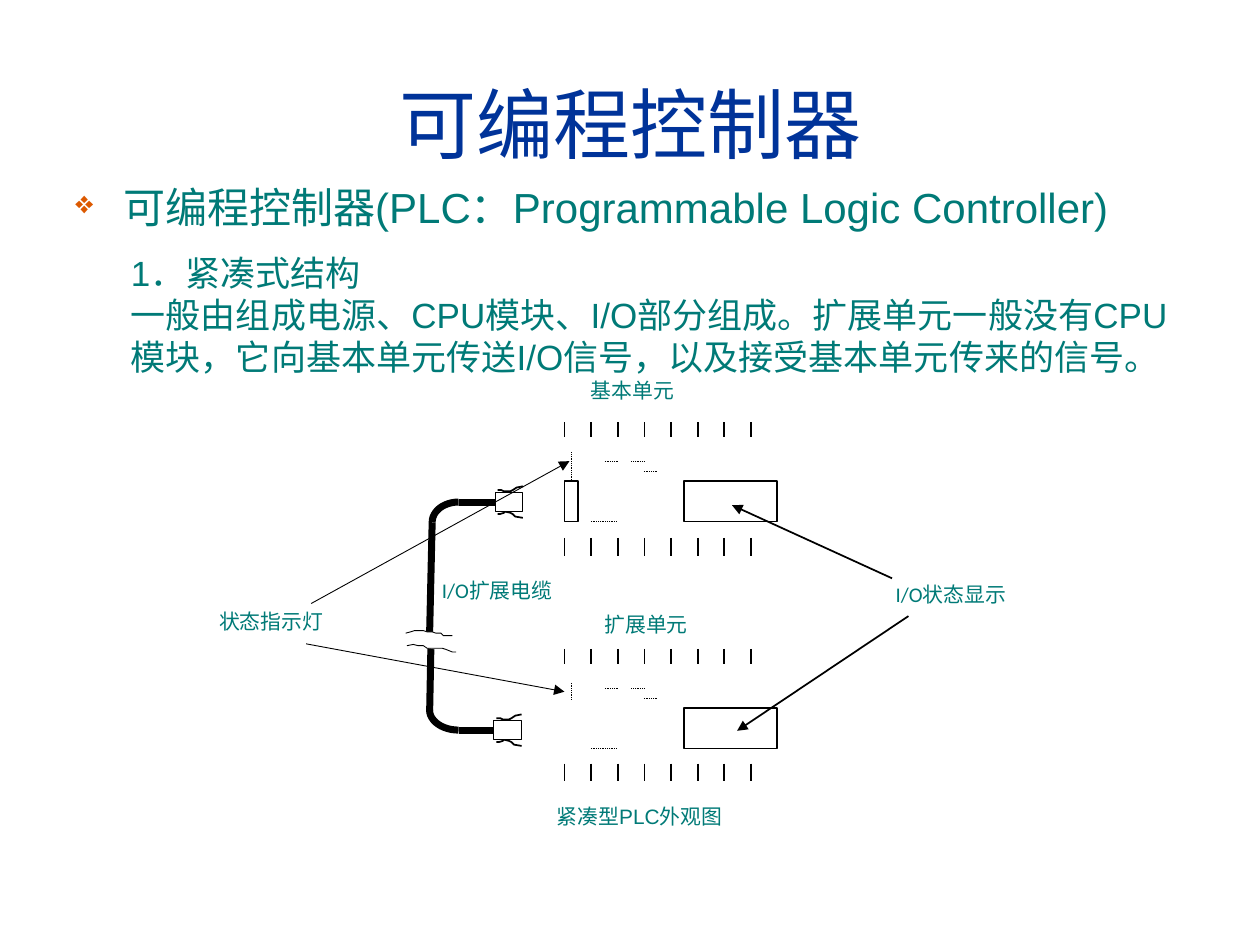
from collections import namedtuple
from dataclasses import dataclass
from math import cos, pi, sin

from lxml.etree import SubElement
from pptx import Presentation
from pptx.dml.color import RGBColor
from pptx.enum.dml import MSO_LINE
from pptx.enum.shapes import MSO_CONNECTOR, MSO_SHAPE
from pptx.enum.text import MSO_ANCHOR, PP_ALIGN
from pptx.oxml.ns import qn
from pptx.util import Inches, Pt

COLUMNS, ROWS = 100, 75
CELL = Inches(0.1)
TOP_SIDE, LEFT_SIDE = 0, 1
Box = namedtuple("Box", "left top width height")


@dataclass(frozen=True)
class Theme:
    title: str = "003399"
    text: str = "007A77"
    bullet: str = "DC5900"
    ink: str = "000000"
    paper: str = "FFFFFF"
    font: str = "Arial"
    label_font: str = "Calibri"
    title_size: float = 44
    lead_size: float = 24
    body_size: float = 20
    label_size: float = 11.9
    thin: float = 0.5
    medium: float = 1
    cable: float = 4


THEME = Theme()


def grid(value):
    return round(value * CELL)


def add_text(page, box, text, *, size, color=THEME.text, font=THEME.font,
             align=PP_ALIGN.LEFT, anchor=MSO_ANCHOR.TOP, spacing=None, bullet=None):
    frame = page.shapes.add_textbox(*map(grid, box)).text_frame
    frame.word_wrap = True
    frame.vertical_anchor = anchor
    for index, line in enumerate(text.split("\n")):
        para = frame.add_paragraph() if index else frame.paragraphs[0]
        para.alignment = align
        if spacing:
            para.line_spacing = spacing
        if bullet:
            add_bullet(para, bullet)
        span = para.add_run()
        span.text = line
        span.font.name = font
        span.font.size = Pt(size)
        span.font.color.rgb = RGBColor.from_string(color)


def add_bullet(para, character, indent=3.8):
    properties = para._p.get_or_add_pPr()
    properties.set("marL", str(grid(indent)))
    properties.set("indent", str(-grid(indent)))
    color = SubElement(properties, qn("a:buClr"))
    SubElement(color, qn("a:srgbClr"), val=THEME.bullet)
    SubElement(properties, qn("a:buSzPct"), val="75000")
    SubElement(properties, qn("a:buChar"), char=character)


def ink_line(shape, weight):
    shape.line.color.rgb = RGBColor.from_string(THEME.ink)
    shape.line.width = Pt(weight)


def paint(shape, weight):
    shape.shadow.inherit = False
    shape.fill.solid()
    shape.fill.fore_color.rgb = RGBColor.from_string(THEME.paper)
    ink_line(shape, weight)
    return shape


def add_rectangle(page, box, weight=THEME.medium):
    return paint(page.shapes.add_shape(MSO_SHAPE.RECTANGLE, *map(grid, box)), weight)


def add_curve(page, left, top, points, weight):
    """Draw an open outline whose points are offsets from left and top."""
    points = [(grid(left + x), grid(top + y)) for x, y in points]
    builder = page.shapes.build_freeform(*points[0])
    builder.add_line_segments(points[1:], close=False)
    paint(builder.convert_to_shape(), weight)


def add_line(page, start, end, weight=THEME.medium, dotted=False, arrow=False):
    line = page.shapes.add_connector(MSO_CONNECTOR.STRAIGHT, *map(grid, (*start, *end)))
    ink_line(line, weight)
    if dotted:
        line.line.dash_style = MSO_LINE.ROUND_DOT
    if arrow:
        SubElement(line.line._get_or_add_ln(), qn("a:tailEnd"), type="triangle")
    SubElement(line._element.spPr, qn("a:effectLst"))
    return line


def add_terminals(page, box, count=8):
    pitch = box.width / (count - 1)
    for index in range(count):
        x = box.left + index * pitch
        add_line(page, (x, box.top), (x, box.top + box.height))


def add_unit(page, box, lamp_span, has_port=False):
    """Draw one PLC unit: terminals, display window, dotted marks and status lamp."""
    left, top, width, height = box
    add_terminals(page, Box(left, top, width, 1.2))
    add_terminals(page, Box(left, top + height - 1.4, width, 1.4))
    add_rectangle(page, Box(left + 9.5, top + 4.7, 7.4, 3.2))
    for x, y, length in ((2.1, 7.9, 2.1), (3.2, 3.15, 1), (5.3, 3.15, 1), (6.3, 3.9, 1.1)):
        add_line(page, (left + x, top + y), (left + x + length, top + y),
                 THEME.thin, dotted=True)
    lamp_x = left + 0.55
    lamp = add_line(page, (lamp_x, top + lamp_span[0]), (lamp_x, top + lamp_span[1]),
                    THEME.thin, dotted=True)
    if has_port:
        port = add_rectangle(page, Box(left, top + 4.7, 1.1, 3.2))
        lamp.end_connect(port, TOP_SIDE)


def add_plug(page, box):
    upper_clip = ((0, .3), (.3, .3), (.5, .4), (1, .4), (1.2, .3), (1.5, .1), (2, 0))
    lower_clip = ((0, .2), (.2, .2), (.5, .1), (.6, 0), (1, .1), (1.2, .2), (1.4, .4), (2, .5))
    add_curve(page, box.left + 0.2, box.top - 0.5, upper_clip, THEME.medium)
    add_curve(page, box.left + 0.2, box.top + box.height, lower_clip, THEME.medium)
    return add_rectangle(page, box, THEME.thin)


def add_elbow(page, center, radius_x, radius_y, steps=12):
    angles = [pi / 2 * step / steps for step in range(steps + 1)]
    points = [(-radius_x * sin(angle), -radius_y * cos(angle)) for angle in angles]
    add_curve(page, *center, points, THEME.cable)


def add_cable(page, box):
    """Draw the cable with a plug at each end and a break in the middle."""
    left, top, width, height = box
    right, bottom = left + width, top + height
    bend = left + 2.3
    for plug_left, y in ((right, top), (right - 0.1, bottom)):
        plug = add_plug(page, Box(plug_left, y - 0.75, 2.2, 1.5))
        lead = add_line(page, (bend, y), (plug_left, y), THEME.cable)
        lead.end_connect(plug, LEFT_SIDE)
    add_line(page, (left + 0.2, top + 1.6), (left, top + 10.3), THEME.cable)
    add_line(page, (left + 0.1, top + 11.6), (left, bottom - 1.5), THEME.cable)
    add_elbow(page, (bend, top + 1.6), 2.1, 1.6)
    add_elbow(page, (bend, bottom - 1.6), 2.3, -1.6)
    upper_break = ((0, .2), (.4, .1), (.7, 0), (1.4, 0), (1.7, .1), (2.1, .1),
                   (2.4, .2), (2.8, .2), (3, .4), (3.7, .4))
    lower_break = ((0, .1), (.5, 0), (.9, .1), (1.3, .1), (1.6, .3), (2.8, .3),
                   (3.1, .4), (3.6, .6), (3.9, .6))
    add_curve(page, left - 1.9, top + 10.2, upper_break, THEME.thin)
    add_curve(page, left - 1.8, top + 11.3, lower_break, THEME.thin)


def add_diagram(page, box):
    left, top, width, height = box
    add_unit(page, Box(left + 28.4, top + 3.8, 14.8, 10.6), (2.4, 4.7), has_port=True)
    add_unit(page, Box(left + 28.4, top + 21.8, 14.8, 10.5), (2.7, 4.1))
    add_cable(page, Box(left + 17.7, top + 10.15, 5.2, 18.1))
    callouts = (((8.3, 18.2), (28.8, 6.9), THEME.thin),
                ((7.9, 21.4), (28.4, 25.2), THEME.thin),
                ((54.4, 16.2), (41.7, 10.4), THEME.medium),
                ((55.7, 19.2), (42.1, 28.3), THEME.medium))
    for start, end, weight in callouts:
        add_line(page, (left + start[0], top + start[1]), (left + end[0], top + end[1]),
                 weight, arrow=True)
    labels = (("基本单元", 29.5, 0, 10.9), ("扩展单元", 30.6, 18.6, 10.9),
              ("I/O扩展电缆", 17.7, 15.9, 17.7), ("I/O状态显示", 53.7, 16.2, 15.9),
              ("状态指示灯", 0, 18.3, 12))
    for text, x, y, label_width in labels:
        add_text(page, Box(left + x, top + y, label_width, 3.1), text,
                 size=THEME.label_size, font=THEME.label_font,
                 align=PP_ALIGN.JUSTIFY, spacing=0.9)
    add_text(page, Box(left + 15.1, top + height - 3.1, 38.5, 3.1), "紧凑型PLC外观图",
             size=THEME.label_size, align=PP_ALIGN.CENTER)


def add_heading(page, box):
    add_text(page, box, "可编程控制器", size=THEME.title_size, color=THEME.title,
             align=PP_ALIGN.CENTER, anchor=MSO_ANCHOR.MIDDLE)


def add_description(page, box):
    add_text(page, Box(box.left, box.top, box.width, 5.6),
             "可编程控制器(PLC：Programmable Logic Controller)",
             size=THEME.lead_size, bullet="❖")
    add_text(page, Box(box.left + 4.4, box.top + 5.6, 85.2, 14.4),
             "1．紧凑式结构\n一般由组成电源、CPU模块、I/O部分组成。扩展单元一般没有CPU模块，"
             "它向基本单元传送I/O信号，以及接受基本单元传来的信号。", size=THEME.body_size)


def main():
    deck = Presentation()
    deck.slide_width, deck.slide_height = COLUMNS * CELL, ROWS * CELL
    page = deck.slides.add_slide(deck.slide_layouts[6])
    add_heading(page, Box(1.6, 5.4, 96.9, 8.7))
    add_description(page, Box(5, 13.9, 90.3, 20))
    add_diagram(page, Box(16.4, 29.7, 69.6, 36.7))
    deck.save("out.pptx")


if __name__ == "__main__":
    main()
